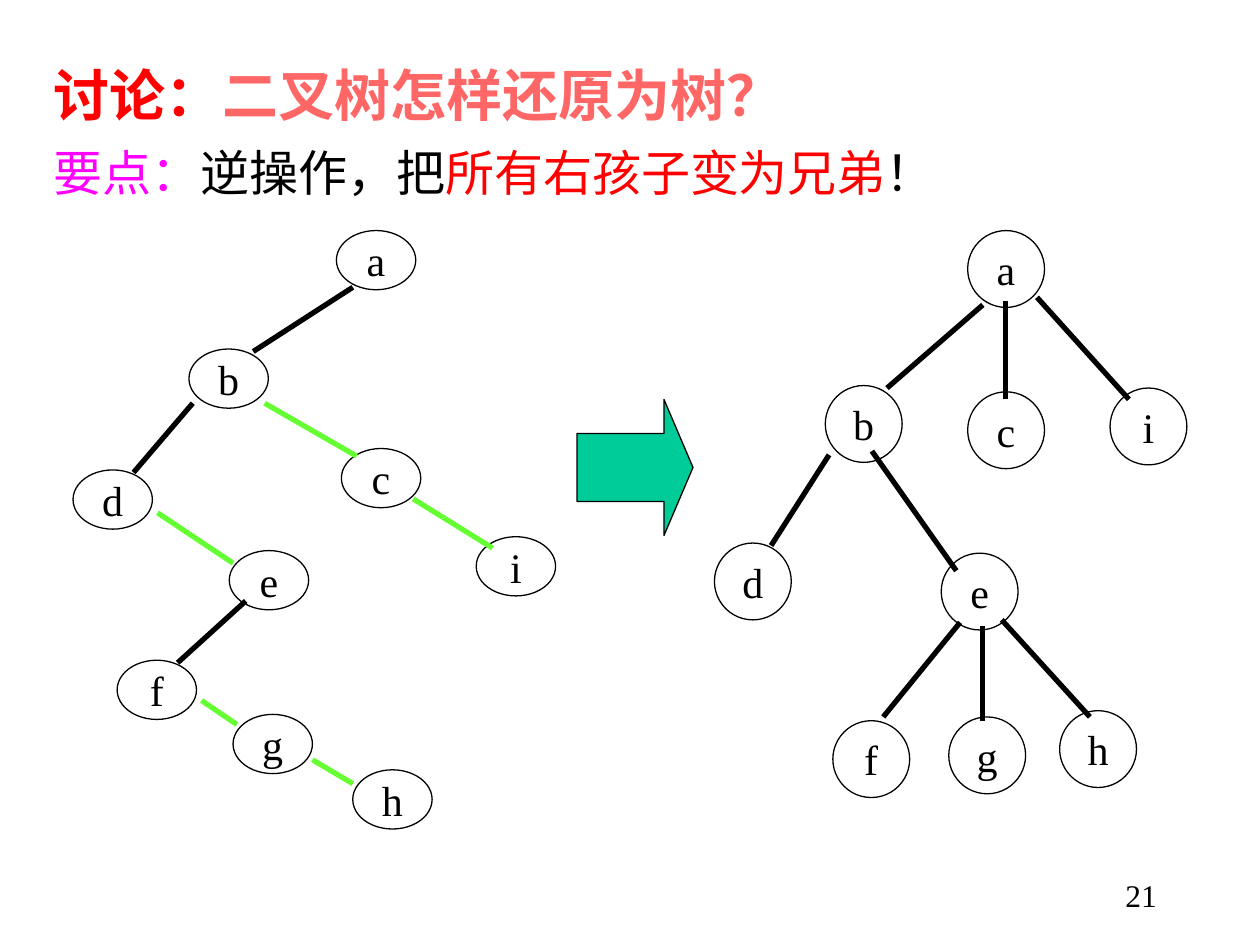
"""Slide showing how a binary tree is turned back into a general tree."""
from lxml.etree import SubElement
from pptx import Presentation
from pptx.dml.color import RGBColor as RGB
from pptx.enum.shapes import MSO_CONNECTOR as LINE, MSO_SHAPE as SHAPE
from pptx.enum.text import MSO_ANCHOR as ANCHOR, PP_ALIGN as ALIGN
from pptx.oxml.ns import qn
from pptx.util import Inches, Pt

COLORS = {
    "black": "000000", "white": "FFFFFF", "red": "FF0000", "coral": "FF6666",
    "magenta": "FF00FF", "green": "66FF33", "teal": "00CC99",
}
CJK, SERIF = "Noto Sans CJK SC", "Times New Roman"

prs = Presentation()
prs.slide_width, prs.slide_height = Inches(10), Inches(7.5)
s = prs.slides.add_slide(prs.slide_layouts[6])
COL, ROW = prs.slide_width / 100, prs.slide_height / 75


def grid(*cells):
    return [round(n * (ROW if i % 2 else COL)) for i, n in enumerate(cells)]


def write(sp, *runs, font=SERIF, size=24, bold=False, align=ALIGN.LEFT,
          anchor=ANCHOR.TOP, wrap=True):
    tf = sp.text_frame
    tf.word_wrap, tf.vertical_anchor = wrap, anchor
    p = tf.paragraphs[0]
    p.alignment = align
    for text, color in runs:
        r = p.add_run()
        r.text = text
        r.font.name, r.font.size, r.font.bold = font, Pt(size), bold
        r.font.color.rgb = RGB.from_string(COLORS[color])
        SubElement(r.font._element, qn("a:ea"), typeface=font)


title = s.shapes.add_textbox(*grid(3.3, 4.3, 69.2, 6.3))
write(title, ("讨论：", "red"), ("二叉树怎样还原为树？", "coral"),
      font=CJK, size=32, bold=True, anchor=ANCHOR.MIDDLE)

key_point = s.shapes.add_textbox(*grid(3.3, 10.8, 72.5, 6.4))
write(key_point, ("要点：", "magenta"), ("逆操作，把", "black"),
      ("所有右孩子变为兄弟", "red"), ("！", "black"), font=CJK, size=28)

binary_tree = {
    "size": (6.3, 4.7),
    "fill": None,
    "nodes": {
        "a": (26.7, 18.3), "b": (15, 27.7), "c": (27.1, 35.6),
        "d": (5.8, 37.3), "e": (18.2, 43.7), "f": (9.3, 52.4),
        "g": (18.5, 56.7), "h": (28, 61.1), "i": (37.8, 42.6),
    },
    "edges": {
        "black": [(28, 22.8, 20.1, 27.9), (15.3, 32, 10.6, 37.5),
                  (19.5, 47.7, 14.1, 52.6)],
        "green": [(21, 32, 28.3, 36.2), (32.8, 39.6, 39.1, 43.5),
                  (12.5, 40.7, 18.5, 44.7), (16, 55.6, 18.8, 57.5),
                  (24.8, 60.3, 28, 62.2)],
    },
}
general_tree = {
    "size": (6.1, 6.1),
    "fill": "white",
    "nodes": {
        "a": (76.8, 18.3), "b": (65.5, 30.6), "c": (76.8, 31.1),
        "d": (56.7, 43.1), "e": (74.7, 43.9), "f": (66.1, 57.2),
        "g": (75.3, 56.9), "h": (84.1, 56.4), "i": (88.1, 30.8),
    },
    "edges": {
        "black": [(78, 24.2, 70.4, 30.8), (79.8, 23.9, 79.8, 31.7),
                  (82.3, 23.6, 89.6, 31.7), (65.8, 36.1, 61.2, 43.3),
                  (69.2, 35.8, 75.9, 45.3), (76.2, 49.4, 70.1, 56.9),
                  (78, 49.7, 78, 57.2), (79.5, 49.2, 86.5, 56.9)],
    },
}

for tree in (binary_tree, general_tree):
    for label, corner in tree["nodes"].items():
        node = s.shapes.add_shape(SHAPE.OVAL, *grid(*corner, *tree["size"]))
        node.shadow.inherit = False
        if tree["fill"]:
            node.fill.solid()
            node.fill.fore_color.rgb = RGB.from_string(COLORS[tree["fill"]])
        else:
            node.fill.background()
        node.line.color.rgb = RGB.from_string(COLORS["black"])
        node.line.width = Pt(0.75)
        write(node, (label, "black"), align=ALIGN.CENTER,
              anchor=ANCHOR.MIDDLE, wrap=False)
    for color, edges in tree["edges"].items():
        for ends in edges:
            edge = s.shapes.add_connector(LINE.STRAIGHT, *grid(*ends))
            edge.line.color.rgb = RGB.from_string(COLORS[color])
            edge.line.width = Pt(3)
            SubElement(edge._element.spPr, qn("a:effectLst"))

arrow = s.shapes.add_shape(SHAPE.RIGHT_ARROW, *grid(45.8, 31.7, 9.2, 10.8))
arrow.adjustments[0], arrow.adjustments[1] = 0.5, 0.25
arrow.shadow.inherit = False
arrow.fill.solid()
arrow.fill.fore_color.rgb = RGB.from_string(COLORS["teal"])
arrow.line.color.rgb = RGB.from_string(COLORS["black"])
arrow.line.width = Pt(0.75)

page_number = s.shapes.add_textbox(*grid(72, 69, 20.8, 5))
write(page_number, ("21", "black"), size=18, align=ALIGN.RIGHT)

prs.save("out.pptx")
